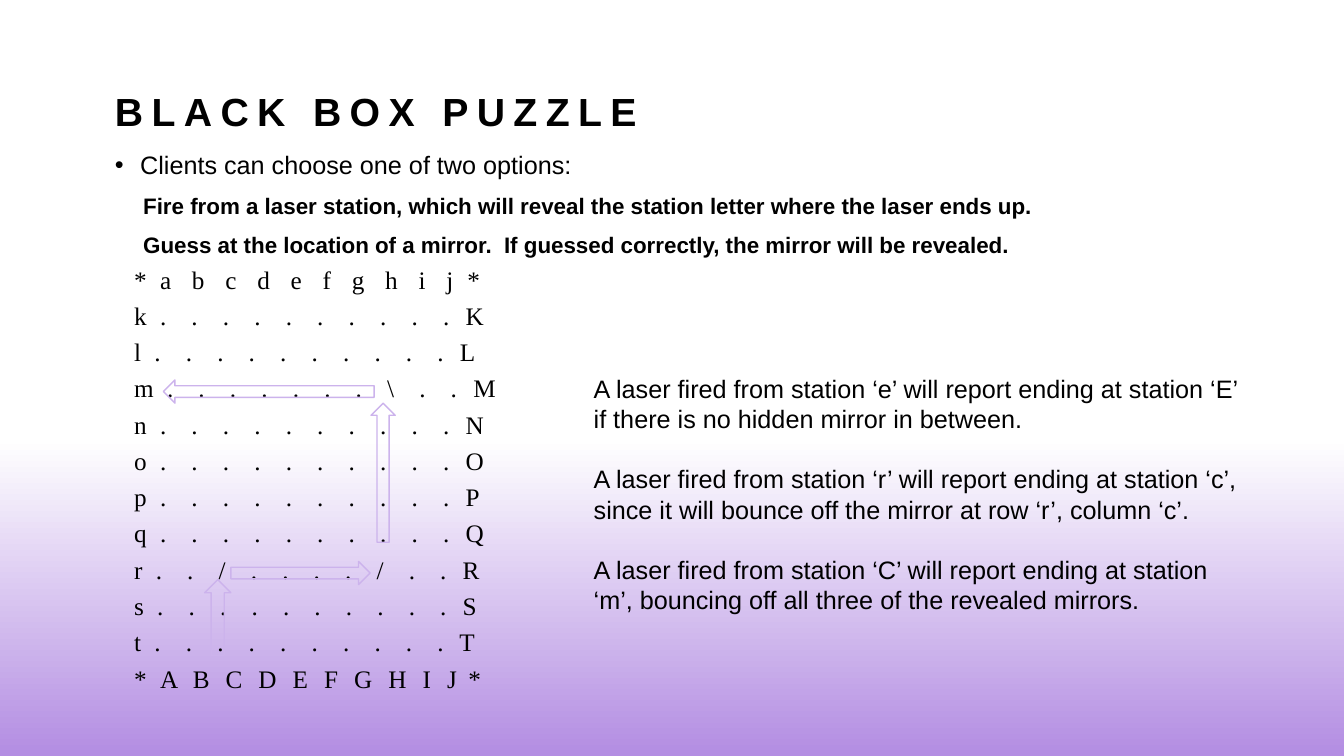
from lxml import etree
from pptx import Presentation
from pptx.dml.color import RGBColor
from pptx.enum.shapes import MSO_SHAPE
from pptx.enum.text import MSO_ANCHOR, MSO_AUTO_SIZE, PP_ALIGN
from pptx.oxml.ns import qn
from pptx.util import Inches, Pt

RECTANGLE = MSO_SHAPE.RECTANGLE
UP, LEFT, RIGHT = MSO_SHAPE.UP_ARROW, MSO_SHAPE.LEFT_ARROW, MSO_SHAPE.RIGHT_ARROW
TOP, BOTTOM = MSO_ANCHOR.TOP, MSO_ANCHOR.BOTTOM
ALIGN_LEFT = PP_ALIGN.LEFT
NO_AUTOFIT = MSO_AUTO_SIZE.NONE

WIDTH, HEIGHT = 13.33, 7.5
BLACK, WHITE, PURPLE, LILAC = "000000", "FFFFFF", "B38DE2", "CCB3EC"

TITLE = "BLACK BOX PUZZLE"
INTRO = "Clients can choose one of two options:"
OPTIONS = [
    "Fire from a laser station, which will reveal the station letter where the laser ends up.",
    "Guess at the location of a mirror.  If guessed correctly, the mirror will be revealed.",
]
COLUMNS, ROWS = "abcdefghij", "klmnopqrst"
MIRRORS = {"mh": "\\", "rc": "/", "rh": "/"}
# Each entry: text, space before in points
EXAMPLES = [
    ("A laser fired from station ‘e’ will report ending at station ‘E’", 0),
    ("if there is no hidden mirror in between.", 0),
    ("A laser fired from station ‘r’ will report ending at station ‘c’, "
     "since it will bounce off the mirror at row ‘r’, column ‘c’.", 21.6),
    ("A laser fired from station ‘C’ will report ending at station ‘m’, "
     "bouncing off all three of the revealed mirrors.", 21.6),
]
LASER_PATH = [
    (UP, (2.03, 5.75, 0.26, 0.75)),
    (RIGHT, (2.29, 5.57, 1.38, 0.23)),
    (UP, (3.68, 4, 0.24, 1.38)),
    (LEFT, (1.62, 3.77, 2.09, 0.23)),
]
TITLE_AREA = (1.04, 0.12, 11.25, 1.26)
BODY_AREA = (1.04, 1.37, 11.25, 5.58)
EXAMPLES_AREA = (5.79, 3.65, 6.63, 3.13)
GLOW_AREA = (0, 3.84, WIDTH, HEIGHT - 3.84)

LINE_SPACING = 1.2
PUZZLE_MARGIN = 0.19
# Letter spacing in points: wider glyphs get less, so all rows share one column step
TITLE_TRACKING, LABEL_TRACKING = 6, 2.5
LOWER_TRACKING, DOT_TRACKING, UPPER_TRACKING = 5.2, 6.75, 3.5

PLAIN = {"size": Pt(18), "name": "Arial", "bold": False}
STRONG = {"size": Pt(16), "name": "Arial", "bold": True}
HEADING = {"size": Pt(28), "name": "Arial", "bold": True}
PUZZLE = {"size": Pt(18), "name": "Times New Roman", "bold": False}


def color(value):
    return RGBColor.from_string(value)


def place(shape, area):
    for name, length in zip(("left", "top", "width", "height"), area):
        setattr(shape, name, Inches(length))


def prepare_frame(shape, anchor=TOP):
    frame = shape.text_frame
    frame.word_wrap = True
    frame.auto_size = NO_AUTOFIT
    frame.vertical_anchor = anchor
    return frame


def write(frame, pieces, font_format, spacing=1.0, before=0, level=0):
    """Write (text, tracking) pieces into the first paragraph, or a new one once that is used."""
    para = frame.paragraphs[-1]
    if para.runs:
        para = frame.add_paragraph()
    layout = {"alignment": ALIGN_LEFT, "line_spacing": spacing, "level": level,
              "space_before": Pt(before), "space_after": Pt(0)}
    for name, value in layout.items():
        setattr(para, name, value)
    for text, tracking in pieces:
        span = para.add_run()
        span.text = text
        for name, value in font_format.items():
            setattr(span.font, name, value)
        span.font.color.rgb = color(BLACK)
        if tracking:
            span.font._element.set("spc", str(round(tracking * 100)))
    return para


def indent(para, margin, first_line=0, bullet=True):
    properties = para._p.get_or_add_pPr()
    properties.set("marL", str(Inches(margin)))
    properties.set("indent", str(Inches(first_line)))
    if not bullet:
        etree.SubElement(properties, qn("a:buNone"))


def puzzle_lines():
    """List each line as left label, cells, right label and cell tracking."""
    lines = [("*", COLUMNS, "*", LOWER_TRACKING)]
    for row in ROWS:
        cells = [MIRRORS.get(row + column, ".") for column in COLUMNS]
        lines.append((row, cells, row.upper(), DOT_TRACKING))
    lines.append(("*", COLUMNS.upper(), "*", UPPER_TRACKING))
    return lines


def add_glow(slide):
    glow = slide.shapes.add_shape(RECTANGLE, 0, 0, 0, 0)
    place(glow, GLOW_AREA)
    glow.shadow.inherit = False
    glow.line.fill.background()
    glow.fill.gradient()
    glow.fill.gradient_angle = 270
    for stop, (position, value) in zip(glow.fill.gradient_stops, [(0.14, WHITE), (1, PURPLE)]):
        stop.position = position
        stop.color.rgb = color(value)
    slide.shapes._spTree.insert(2, glow._element)


def add_arrow(slide, kind, area):
    arrow = slide.shapes.add_shape(kind, 0, 0, 0, 0)
    place(arrow, area)
    arrow.shadow.inherit = False
    arrow.fill.background()
    arrow.line.color.rgb = color(LILAC)
    arrow.line.width = Pt(1)


def main():
    deck = Presentation()
    deck.slide_width, deck.slide_height = Inches(WIDTH), Inches(HEIGHT)
    slide = deck.slides.add_slide(deck.slide_layouts[1])
    add_glow(slide)

    title, body = slide.placeholders
    place(title, TITLE_AREA)
    write(prepare_frame(title, BOTTOM), [(TITLE, TITLE_TRACKING)], HEADING, LINE_SPACING)

    place(body, BODY_AREA)
    frame = prepare_frame(body)
    indent(write(frame, [(INTRO, 0)], PLAIN, LINE_SPACING), 0.25, -0.25)
    for option in OPTIONS:
        para = write(frame, [(option, 0)], STRONG, LINE_SPACING, before=5, level=1)
        indent(para, 0.28, bullet=False)
    for label, cells, end_label, tracking in puzzle_lines():
        pieces = [(label + " ", LABEL_TRACKING), (" ".join(cells), tracking), (" " + end_label, 0)]
        para = write(frame, pieces, PUZZLE, LINE_SPACING)
        indent(para, PUZZLE_MARGIN, bullet=False)

    examples = slide.shapes.add_textbox(0, 0, 0, 0)
    place(examples, EXAMPLES_AREA)
    frame = prepare_frame(examples)
    for text, before in EXAMPLES:
        write(frame, [(text, 0)], PLAIN, before=before)

    for kind, area in LASER_PATH:
        add_arrow(slide, kind, area)
    deck.save("out.pptx")


if __name__ == "__main__":
    main()
